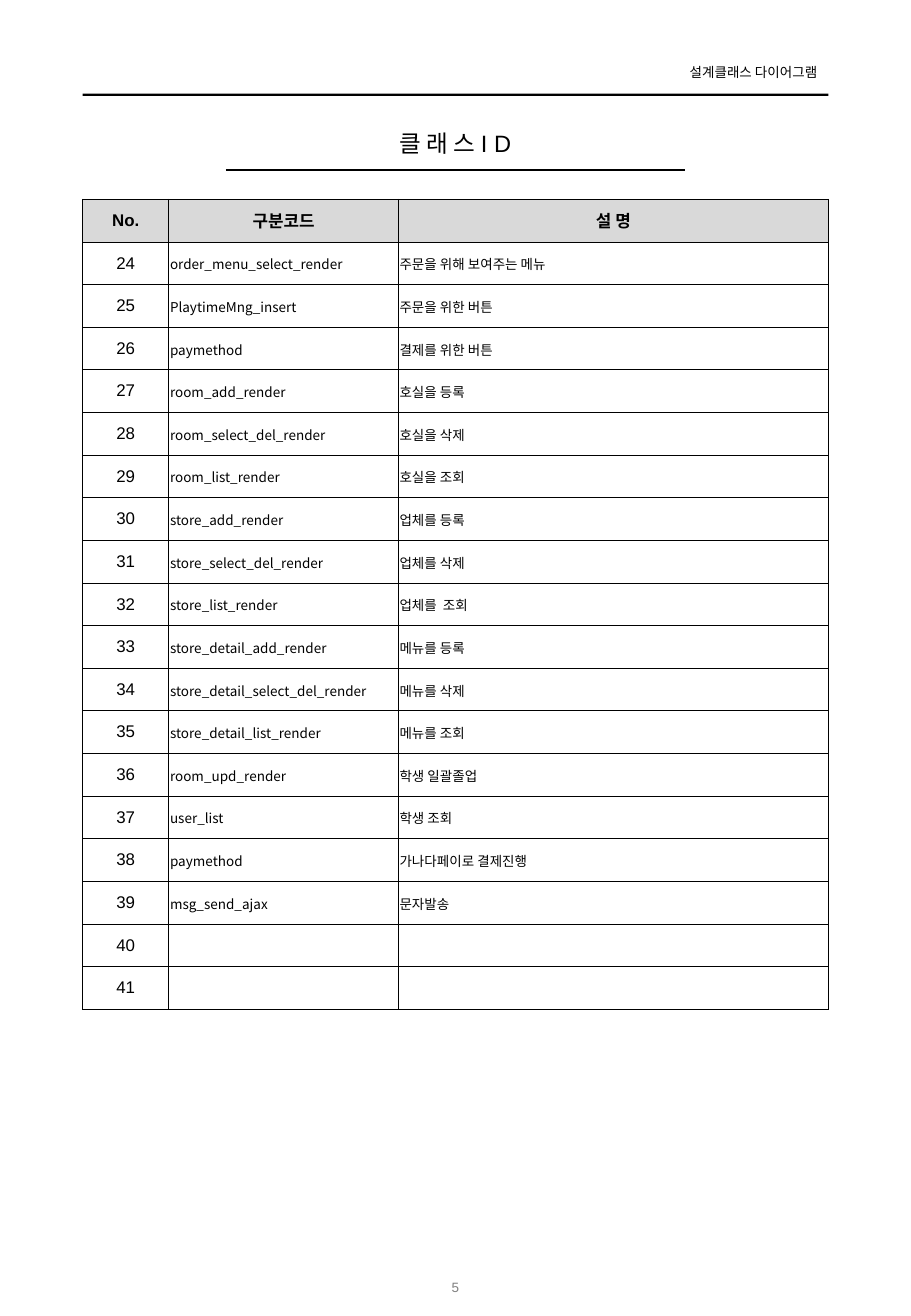
"""Build the class ID page with its code table."""
from dataclasses import dataclass

from lxml import etree
from pptx import Presentation
from pptx import util as u
from pptx.dml.color import RGBColor
from pptx.enum import shapes, text
from pptx.oxml import ns

ALIGN = text.PP_ALIGN
MID = text.MSO_ANCHOR.MIDDLE
TOP = text.MSO_ANCHOR.TOP
LEFT, WIDTH = 0.68, 6.14


@dataclass(frozen=True)
class Theme:
    ink: str = "000000"
    head: str = "D9D9D9"
    paper: str = "FFFFFF"
    mute: str = "808080"
    sans: str = "Arial"
    hangul: str = "Noto Sans CJK KR"
    title: int = 14
    label: int = 10
    small: int = 8
    rule: float = 1
    grid: float = 0.5


def assign(item, form):
    for name, value in form.items():
        setattr(item, name, value)


def insets(*sides):
    names = ("margin_left", "margin_top", "margin_right", "margin_bottom")
    return dict(zip(names, map(u.Inches, sides)))


class Page:
    def __init__(self, deck, theme):
        self.theme = theme
        self.slide = deck.slides.add_slide(deck.slide_layouts[5])
        self.items = self.slide.shapes

    def words(self, frame, words, size, align=ALIGN.LEFT, color=None, font=None, bold=False):
        para = frame.paragraphs[0]
        para.alignment = align
        run = para.add_run()
        run.text = words
        assign(run.font, {"size": u.Pt(size), "name": font or self.theme.sans, "bold": bold})
        run.font.color.rgb = RGBColor.from_string(color or self.theme.ink)
        east = etree.SubElement(run.font._element, ns.qn("a:ea"))
        east.set("typeface", self.theme.hangul)

    def title(self, words, box):
        shape = self.items.title
        assign(shape, dict(zip(("left", "top", "width", "height"), map(u.Inches, box))))
        form = {"word_wrap": True, "vertical_anchor": TOP, "auto_size": text.MSO_AUTO_SIZE.NONE}
        assign(shape.text_frame, form | insets(0, 0.05, 0, 0.05))
        self.words(shape.text_frame, words, self.theme.title, ALIGN.CENTER)

    def label(self, words, box, form, **style):
        frame = self.items.add_textbox(*map(u.Inches, box)).text_frame
        assign(frame, {"word_wrap": True} | form)
        self.words(frame, words, self.theme.small, **style)

    def bar(self, box):
        shape = self.items.add_shape(shapes.MSO_SHAPE.RECTANGLE, *map(u.Inches, box))
        shape.shadow.inherit = False
        shape.fill.solid()
        shape.fill.fore_color.rgb = RGBColor.from_string(self.theme.ink)
        shape.line.fill.background()

    def line(self, *ends):
        rule = self.items.add_connector(shapes.MSO_CONNECTOR.STRAIGHT, *map(u.Inches, ends))
        rule.line.width = u.Pt(self.theme.rule)
        rule.line.color.rgb = RGBColor.from_string(self.theme.ink)
        etree.SubElement(rule._element.spPr, ns.qn("a:effectLst"))

    def border(self, cell):
        props = cell._tc.get_or_add_tcPr()
        for spot, side in enumerate(("lnL", "lnR", "lnT", "lnB")):
            edge = etree.Element(ns.qn(f"a:{side}"), w=str(u.Pt(self.theme.grid)))
            fill = etree.SubElement(edge, ns.qn("a:solidFill"))
            etree.SubElement(fill, ns.qn("a:srgbClr"), val=self.theme.ink)
            props.insert(spot, edge)

    def cell(self, cell, words, head, code):
        theme = self.theme
        cell.fill.solid()
        cell.fill.fore_color.rgb = RGBColor.from_string(theme.head if head else theme.paper)
        cell.vertical_anchor = MID
        self.border(cell)
        if code:
            assign(cell, insets(0.01, 0.01, 0.01, 0))
            self.words(cell.text_frame, words, theme.small, font=theme.hangul)
        else:
            self.words(cell.text_frame, words, theme.label, ALIGN.CENTER, bold=head)

    def table(self, rows, widths, box):
        frame = self.items.add_table(len(rows), len(widths), *map(u.Inches, box))
        grid = frame.table
        for column, width in zip(grid.columns, widths):
            column.width = u.Inches(width)
        for r, row in enumerate(rows):
            grid.rows[r].height = u.Inches(box[3] / len(rows))
            for c, words in enumerate(row):
                self.cell(grid.cell(r, c), words, r == 0, r > 0 and c > 0)


HEADS = ("No.", "구분코드", "설 명")
CODES = (
    ("order_menu_select_render", "주문을 위해 보여주는 메뉴"),
    ("PlaytimeMng_insert", "주문을 위한 버튼"),
    ("paymethod", "결제를 위한 버튼"),
    ("room_add_render", "호실을 등록"),
    ("room_select_del_render", "호실을 삭제"),
    ("room_list_render", "호실을 조회"),
    ("store_add_render", "업체를 등록"),
    ("store_select_del_render", "업체를 삭제"),
    ("store_list_render", "업체를  조회"),
    ("store_detail_add_render", "메뉴를 등록"),
    ("store_detail_select_del_render", "메뉴를 삭제"),
    ("store_detail_list_render", "메뉴를 조회"),
    ("room_upd_render", "학생 일괄졸업"),
    ("user_list", "학생 조회"),
    ("paymethod", "가나다페이로 결제진행"),
    ("msg_send_ajax", "문자발송"),
    ("", ""),
    ("", ""),
)

deck = Presentation()
assign(deck, {"slide_width": u.Inches(7.5), "slide_height": u.Inches(10.83)})
theme = Theme()
page = Page(deck, theme)
page.bar((LEFT, 0.77, WIDTH, 0.02))
page.label("설계클래스 다이어그램", (5.47, 0.48, 1.34, 0.24),
           insets(0.1, 0.05, 0.08, 0.05), align=ALIGN.RIGHT)
page.line(1.86, 1.4, 5.64, 1.4)
page.title("클 래 스 I D", (LEFT, 1.01, WIDTH, 0.34))
page.label("5", (3.28, 10.39, 0.94, 0.4), {"vertical_anchor": MID},
           align=ALIGN.CENTER, color=theme.mute)
rows = [HEADS] + [(str(n), *code) for n, code in enumerate(CODES, 24)]
page.table(rows, (0.71, 1.89, 3.54), (LEFT, 1.64, WIDTH, 6.67))
deck.save("out.pptx")
